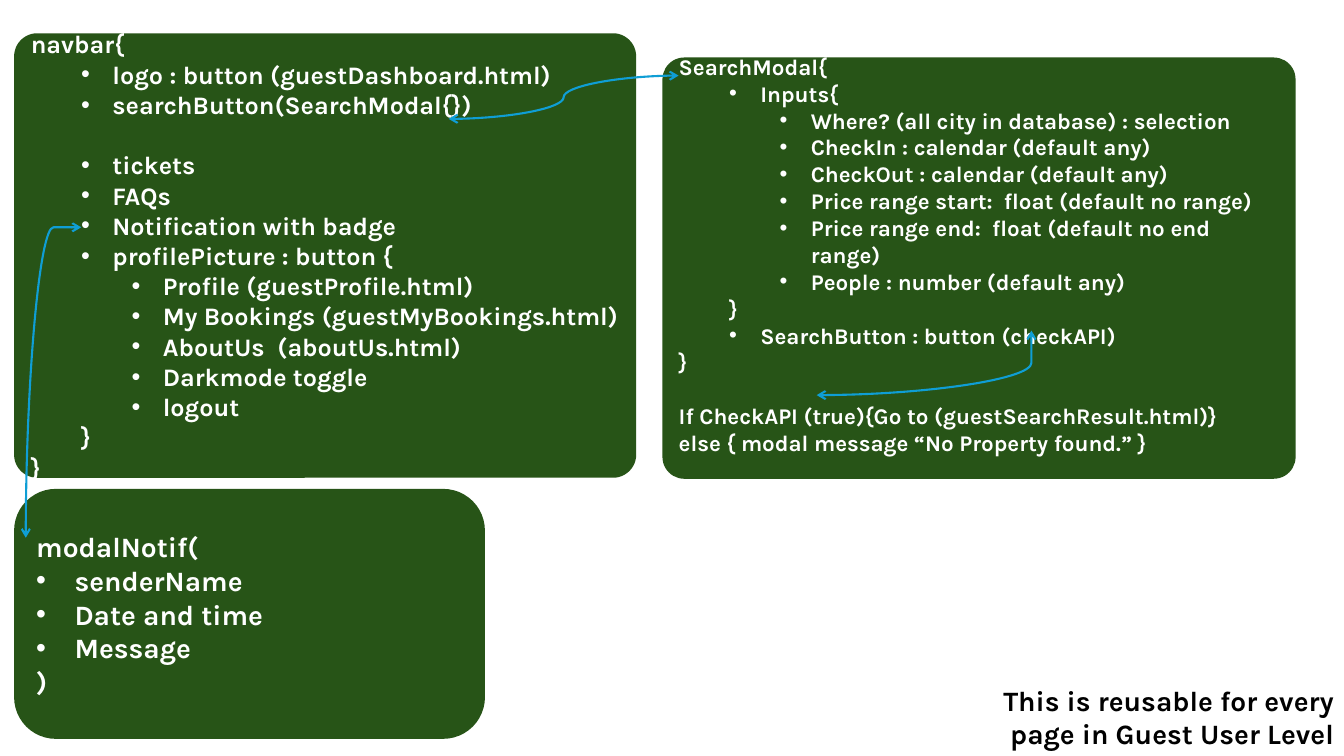
import pptx
import pptx.dml.color
import pptx.enum.shapes
import pptx.enum.text
import pptx.oxml.ns
import pptx.util
from lxml import etree
from pptx.util import Inches

FONT = "Karla"
COLORS = {"panel": "275417", "panel_text": "FFFFFF", "note": "000000", "arrow": "0F9ED5"}

# Content: each line is (indent level, has bullet, gap before in points, text)
NAVBAR = [
    (0, False, 0, "navbar{"),
    (1, True, 0, "logo : button (guestDashboard.html)"),
    (1, True, 0, "searchButton(SearchModal{})"),
    (1, True, 21.5, "tickets"),
    (1, True, 0, "FAQs"),
    (1, True, 0, "Notification with badge"),
    (1, True, 0, "profilePicture : button {"),
    (2, True, 0, "Profile (guestProfile.html)"),
    (2, True, 0, "My Bookings (guestMyBookings.html)"),
    (2, True, 0, "AboutUs  (aboutUs.html)"),
    (2, True, 0, "Darkmode toggle"),
    (2, True, 0, "logout"),
    (1, False, 0, "}"),
    (0, False, 0, "}"),
]
SEARCH_MODAL = [
    (0, False, 0, "SearchModal{"),
    (1, True, 0, "Inputs{"),
    (2, True, 0, "Where? (all city in database) : selection"),
    (2, True, 0, "CheckIn : calendar (default any)"),
    (2, True, 0, "CheckOut : calendar (default any)"),
    (2, True, 0, "Price range start:  float (default no range)"),
    (2, True, 0, "Price range end:  float (default no end range)"),
    (2, True, 0, "People : number (default any)"),
    (1, False, 0, "}"),
    (1, True, 0, "SearchButton : button (checkAPI)"),
    (0, False, 0, "}"),
    (0, False, 19.2, "If CheckAPI (true){Go to (guestSearchResult.html)}"),
    (0, False, 0, "else { modal message “No Property found.” }"),
]
NOTIFICATION_MODAL = [
    (0, False, 0, "modalNotif("),
    (0, True, 0, "senderName"),
    (0, True, 0, "Date and time"),
    (0, True, 0, "Message"),
    (0, False, 0, ")"),
]
# Panels: box, corner, font size, bullet hang, bottom inset, lines
PANELS = [
    ((0.14, 0.33, 6.17, 4.41), 0.052, 18, 0.31, 0.05, NAVBAR),
    ((6.57, 0.57, 6.28, 4.18), 0.052, 16, 0.31, 0.32, SEARCH_MODAL),
    ((0.14, 4.85, 4.67, 2.48), 0.1667, 20, 0.38, 0.05, NOTIFICATION_MODAL),
]
NOTE = ((9.32, 6.73, 4.01, 0.77), "This is reusable for every page in Guest User Level")
# Arrows: unrotated box, degrees of rotation, flips, bend position
ARROWS = [
    ((-1.01, 3.52, 3.08, 0.55), 90, ("flipH", "flipV"), 1.0),
    ((4.45, 0.75, 2.28, 0.43), 180, ("flipV",), 0.5),
    ((8.1, 3.28, 2.13, 0.64), 180, ("flipV",), 0),
]


def rgb(name):
    return pptx.dml.color.RGBColor.from_string(COLORS[name])


def add_child(parent, tag, **attributes):
    child = etree.SubElement(parent, pptx.oxml.ns.qn(tag))
    for key, value in attributes.items():
        child.set(key, str(value))
    return child


def format_runs(paragraph, size, color):
    for run in paragraph.runs:
        run.font.name = FONT
        run.font.size = pptx.util.Pt(size)
        run.font.bold = True
        run.font.color.rgb = rgb(color)


def add_panel(slide, box, corner, size, hang, bottom, lines):
    shape = slide.shapes.add_shape(
        pptx.enum.shapes.MSO_SHAPE.ROUNDED_RECTANGLE, *map(Inches, box))
    shape.adjustments[0] = corner
    shape.shadow.inherit = False
    shape.fill.solid()
    shape.fill.fore_color.rgb = rgb("panel")
    shape.line.fill.background()
    frame = shape.text_frame
    frame.word_wrap = True
    frame.vertical_anchor = pptx.enum.text.MSO_ANCHOR.MIDDLE
    frame.margin_bottom = Inches(bottom)
    for index, (level, bullet, gap, text) in enumerate(lines):
        paragraph = frame.add_paragraph() if index else frame.paragraphs[0]
        paragraph.text = text
        paragraph.level = level
        paragraph.alignment = pptx.enum.text.PP_ALIGN.LEFT
        if gap:
            paragraph.space_before = pptx.util.Pt(gap)
        properties = paragraph._p.get_or_add_pPr()
        first_indent = hang if bullet else 0
        properties.set("marL", str(Inches(level * 0.5 + first_indent)))
        properties.set("indent", str(-Inches(first_indent)))
        if bullet:
            add_child(properties, "a:buFont", typeface="Arial")
            add_child(properties, "a:buChar", char="•")
        format_runs(paragraph, size, "panel_text")


def add_note(slide, box, text):
    frame = slide.shapes.add_textbox(*map(Inches, box)).text_frame
    frame.word_wrap = True
    frame.auto_size = pptx.enum.text.MSO_AUTO_SIZE.SHAPE_TO_FIT_TEXT
    frame.text = text
    frame.paragraphs[0].alignment = pptx.enum.text.PP_ALIGN.RIGHT
    format_runs(frame.paragraphs[0], 20, "note")


def add_arrow(slide, box, rotation, flips, bend):
    left, top, width, height = box
    connector = slide.shapes.add_connector(
        pptx.enum.shapes.MSO_CONNECTOR.CURVE,
        Inches(left), Inches(top), Inches(left + width), Inches(top + height))
    connector.line.color.rgb = rgb("arrow")
    connector.line.width = pptx.util.Pt(1.5)
    properties = connector._element.spPr
    transform = properties.find(pptx.oxml.ns.qn("a:xfrm"))
    transform.set("rot", str(rotation * 60000))
    for flip in flips:
        transform.set(flip, "1")
    guides = properties.find(pptx.oxml.ns.qn("a:prstGeom")).get_or_add_avLst()
    add_child(guides, "a:gd", name="adj1", fmla=f"val {round(bend * 100000)}")
    line = connector.line._get_or_add_ln()
    add_child(line, "a:headEnd", type="arrow")
    add_child(line, "a:tailEnd", type="arrow")
    add_child(properties, "a:effectLst")


def main():
    presentation = pptx.Presentation()
    presentation.slide_width = Inches(13.33)
    presentation.slide_height = Inches(7.5)
    slide = presentation.slides.add_slide(presentation.slide_layouts[6])
    for panel in PANELS:
        add_panel(slide, *panel)
    add_note(slide, *NOTE)
    for arrow in ARROWS:
        add_arrow(slide, *arrow)
    presentation.save("out.pptx")


if __name__ == "__main__":
    main()
